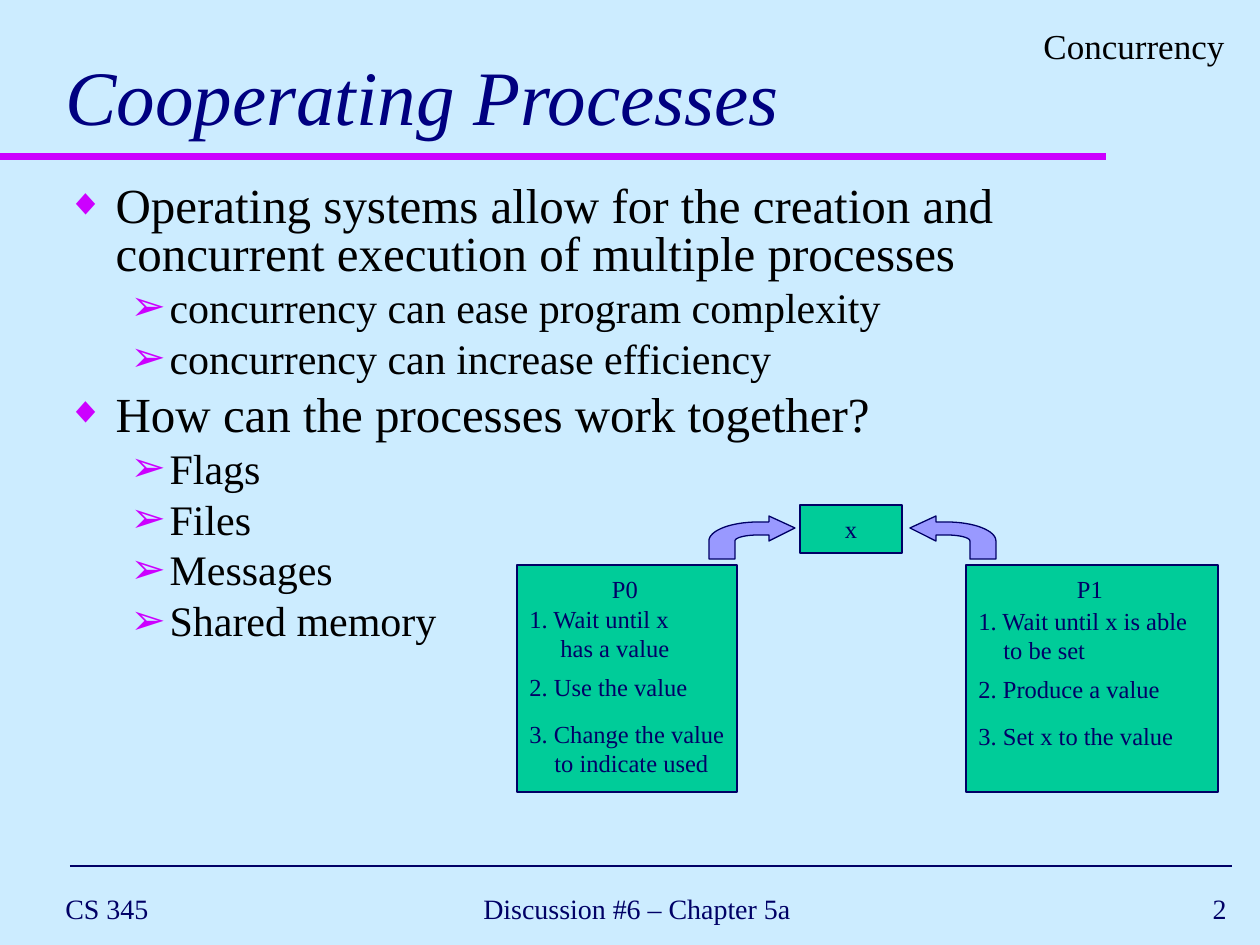
import math

import pptx
import pptx.util
from lxml import etree
from pptx.dml.color import RGBColor
from pptx.enum.shapes import MSO_CONNECTOR, MSO_SHAPE
from pptx.enum.text import MSO_ANCHOR, MSO_AUTO_SIZE, PP_ALIGN
from pptx.oxml.ns import qn

EMU_PER_PX = 914400 // 126
FONT = "Times New Roman"
COLORS = {
    "background": "CCECFF", "accent": "CC00FF", "navy": "000066",
    "title": "000080", "black": "000000", "box": "00CC99", "arrow": "9999FF",
}

TITLE = "Cooperating Processes"
TOPIC = "Concurrency"
BULLETS = [  # level, text
    (0, "Operating systems allow for the creation and concurrent execution of multiple processes"),
    (1, "concurrency can ease program complexity"),
    (1, "concurrency can increase efficiency"),
    (0, "How can the processes work together?"),
    (1, "Flags"),
    (1, "Files"),
    (1, "Messages"),
    (1, "Shared memory"),
]
LEVELS = [
    {"size": 28, "before": 7, "left": 48, "hang": 48, "char": "◆", "percent": 75},
    {"size": 24, "before": 6, "left": 102, "hang": 39, "char": "➢", "percent": 100},
]
FOOTERS = [  # text, left, width, alignment
    ("CS 345", 53, 336, PP_ALIGN.LEFT),
    ("Discussion #6 – Chapter 5a", 387, 500, PP_ALIGN.CENTER),
    ("2", 977, 262, PP_ALIGN.RIGHT),
]
RULES = [  # left, right, y, colour, points
    (0, 1106, 157, "accent", 4),
    (70, 1232, 866, "navy", 1),
]
PROCESSES = [  # steps: top, width, lines, indent of the second line
    {"name": "P0", "left": 517, "width": 220, "name_left": 600, "steps": [
        (597, 173, ["1. Wait until x", "has a value"], 31),
        (665, 183, ["2. Use the value"], 0),
        (712, 220, ["3. Change the value", "to indicate used"], 25),
    ]},
    {"name": "P1", "left": 966, "width": 252, "name_left": 1065, "steps": [
        (599, 237, ["1. Wait until x is able", "to be set"], 25),
        (667, 207, ["2. Produce a value"], 0),
        (714, 220, ["3. Set x to the value"], 0),
    ]},
]
BOX_TOP, BOX_HEIGHT = 565, 227
SHARED_VALUE = ("x", (800, 505, 102, 48))
ARROWS = [(795, -1), (910, 1)]  # tip x, direction from tip to tail
ARROW_TIP_Y = 528


def emu(px):
    return pptx.util.Emu(round(px * EMU_PER_PX))


def rgb(name):
    return RGBColor.from_string(COLORS[name])


def place(shape, *bounds):
    for side, px in zip(("left", "top", "width", "height"), bounds):
        setattr(shape, side, emu(px))


def write(frame, lines, size, color="navy", align=PP_ALIGN.LEFT,
          anchor=MSO_ANCHOR.MIDDLE, wrap=True, italic=False):
    frame_format = {"auto_size": MSO_AUTO_SIZE.NONE, "word_wrap": wrap,
                    "vertical_anchor": anchor}
    for key, value in frame_format.items():
        setattr(frame, key, value)
    for number, line in enumerate(lines):
        paragraph = frame.paragraphs[0] if number == 0 else frame.add_paragraph()
        paragraph.alignment = align
        run = paragraph.add_run()
        run.text = line
        run_format = {"name": FONT, "size": pptx.util.Pt(size), "italic": italic}
        for key, value in run_format.items():
            setattr(run.font, key, value)
        run.font.color.rgb = rgb(color)


def add_text(slide, bounds, lines, size, **text_format):
    frame = slide.shapes.add_textbox(*map(emu, bounds)).text_frame
    write(frame, lines, size, **text_format)
    return frame


def paint(shape, fill):
    shape.shadow.inherit = False
    shape.fill.solid()
    shape.fill.fore_color.rgb = rgb(fill)
    shape.line.color.rgb = rgb("navy")
    shape.line.width = pptx.util.Pt(0.75)


def add_box(slide, bounds):
    box = slide.shapes.add_shape(MSO_SHAPE.RECTANGLE, *map(emu, bounds))
    paint(box, "box")
    return box


def add_rule(slide, left, right, y, color, points):
    rule = slide.shapes.add_connector(
        MSO_CONNECTOR.STRAIGHT, emu(left), emu(y), emu(right), emu(y))
    rule.line.color.rgb = rgb(color)
    rule.line.width = pptx.util.Pt(points)
    etree.SubElement(rule._element.spPr, qn("a:effectLst"))


def add_bullets(frame):
    for paragraph, (level, _) in zip(frame.paragraphs, BULLETS):
        style = LEVELS[level]
        paragraph.level = level
        properties = paragraph._p.get_or_add_pPr()
        properties.set("marL", str(emu(style["left"])))
        properties.set("indent", str(-emu(style["hang"])))
        color = etree.SubElement(properties, qn("a:buClr"))
        etree.SubElement(color, qn("a:srgbClr"), val=COLORS["accent"])
        etree.SubElement(properties, qn("a:buSzPct"), val=str(style["percent"] * 1000))
        etree.SubElement(properties, qn("a:buChar"), char=style["char"])
        paragraph.line_spacing = 0.8
        paragraph.space_before = pptx.util.Pt(style["before"])
        paragraph.runs[0].font.size = pptx.util.Pt(style["size"])
    frame.paragraphs[0].space_before = pptx.util.Pt(0)


def bend(radius_x, radius_y, steps=16):
    """Quarter ellipse from the shaft down to the tail, relative to the tip."""
    angles = [math.pi / 2 * step / steps for step in range(steps + 1)]
    return [(37 + radius_x * math.sin(a), 13 - radius_y * math.cos(a)) for a in angles]


def add_bent_arrow(slide, tip_x, direction):
    outline = [(0, 0), (26, -12), (26, -6), *bend(49, 19), (86, 31), (60, 31),
               *reversed(bend(23, 6)), (26, 7), (26, 13)]
    points = [(emu(tip_x + direction * x), emu(ARROW_TIP_Y + y)) for x, y in outline]
    builder = slide.shapes.build_freeform(*points[0])
    builder.add_line_segments(points[1:], close=True)
    paint(builder.convert_to_shape(), "arrow")


def add_process(slide, process):
    left = process["left"]
    add_box(slide, (left, BOX_TOP, process["width"], BOX_HEIGHT))
    add_text(slide, (process["name_left"], 567, 50, 43), [process["name"]], 14,
             align=PP_ALIGN.CENTER, wrap=False)
    for top, width, lines, indent in process["steps"]:
        frame = add_text(slide, (left, top, width, 43 + 29 * (len(lines) - 1)),
                         lines, 14, wrap=False)
        for paragraph in frame.paragraphs[1:]:
            paragraph._p.get_or_add_pPr().set("marL", str(emu(indent)))


def main():
    deck = pptx.Presentation()
    deck.slide_width, deck.slide_height = emu(1260), emu(945)
    slide = deck.slides.add_slide(deck.slide_layouts[1])
    slide.background.fill.solid()
    slide.background.fill.fore_color.rgb = rgb("background")

    for rule in RULES:
        add_rule(slide, *rule)
    for text, left, width, align in FOOTERS:
        add_text(slide, (left, 882, width, 53), [text], 16, align=align)

    title, body = slide.placeholders
    place(title, 53, 21, 1166, 126)
    write(title.text_frame, [TITLE], 44, color="title",
          anchor=MSO_ANCHOR.BOTTOM, italic=True)
    place(body, 55, 180, 1152, 508)
    write(body.text_frame, [text for _, text in BULLETS], 28, color="black",
          anchor=MSO_ANCHOR.TOP)
    add_bullets(body.text_frame)
    add_text(slide, (786, 18, 451, 55), [TOPIC], 20, color="black",
             align=PP_ALIGN.RIGHT, anchor=MSO_ANCHOR.TOP)

    for process in PROCESSES:
        add_process(slide, process)
    value, bounds = SHARED_VALUE
    write(add_box(slide, bounds).text_frame, [value], 14, align=PP_ALIGN.CENTER)
    for tip_x, direction in ARROWS:
        add_bent_arrow(slide, tip_x, direction)

    deck.save("out.pptx")


if __name__ == "__main__":
    main()
